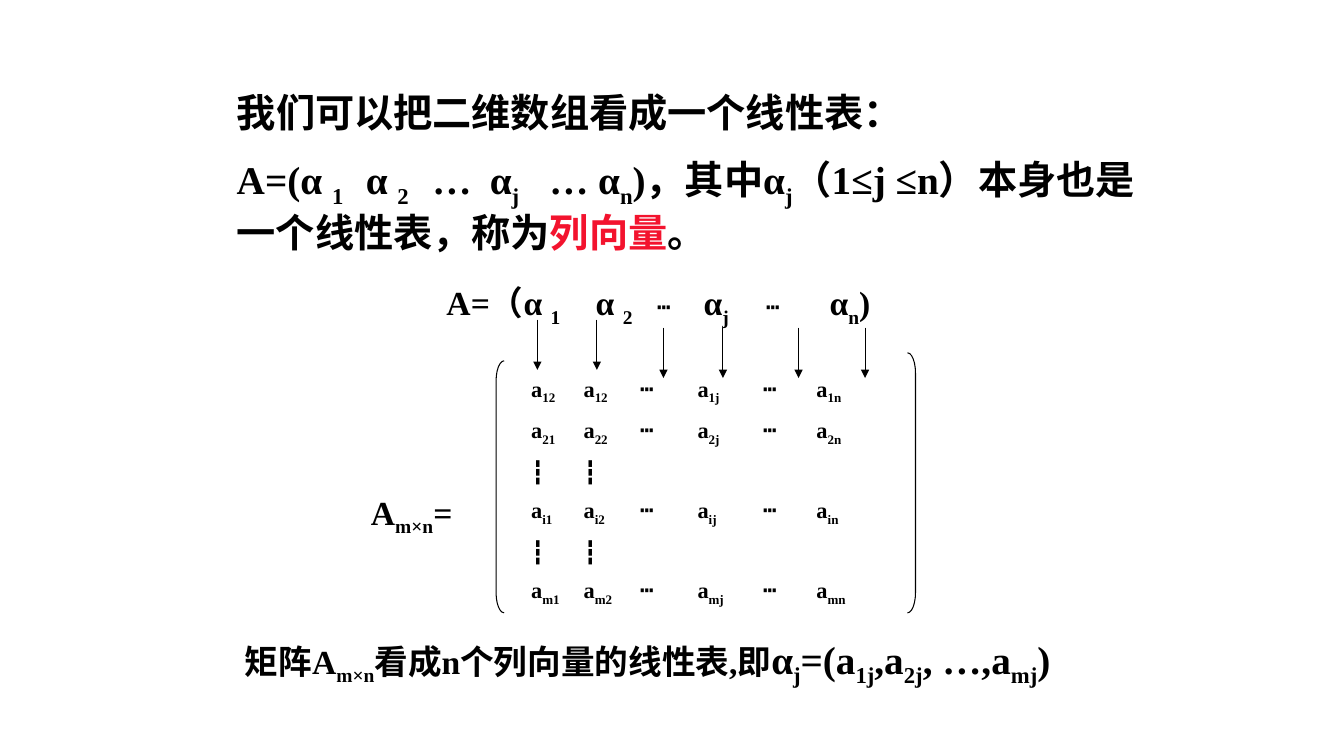
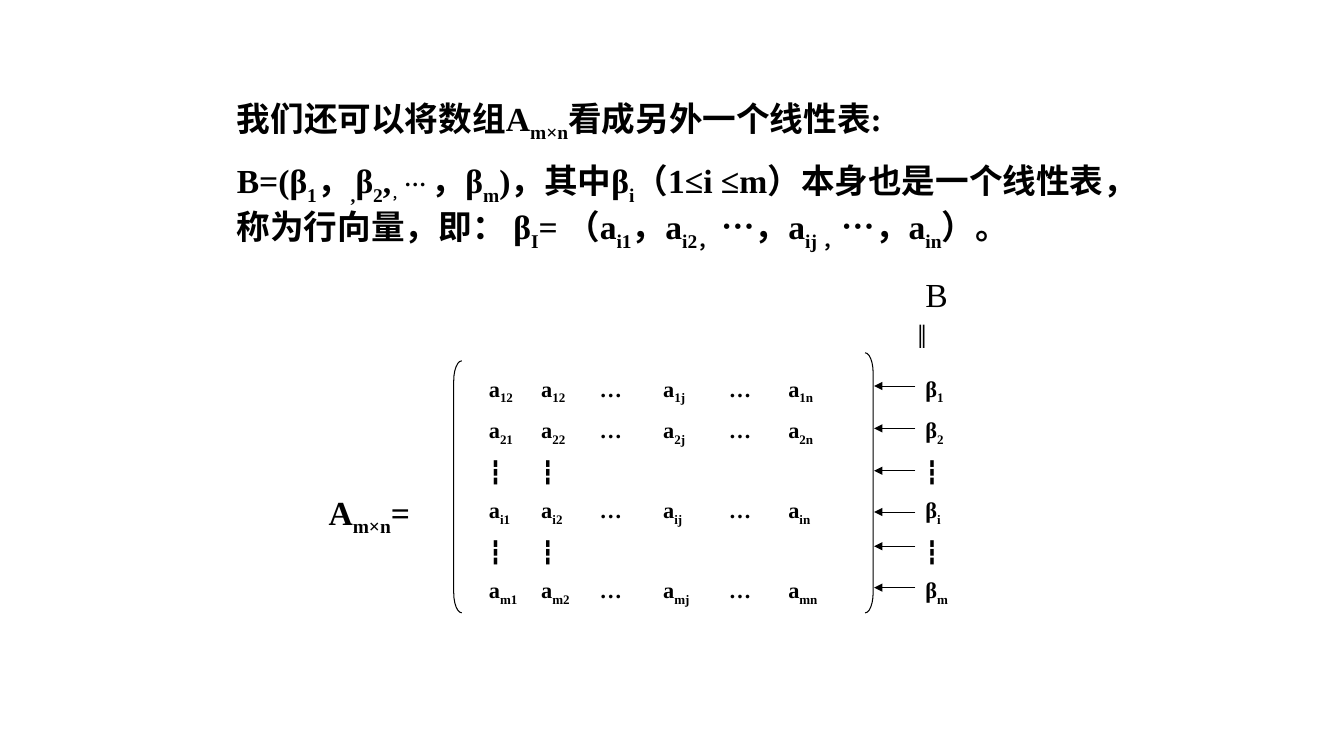
from dataclasses import dataclass

from lxml import etree
from pptx import Presentation
from pptx import util as u
from pptx.dml.color import RGBColor
from pptx.enum import shapes, text
from pptx.oxml import ns


@dataclass(frozen=True)
class Theme:
    font: str = "Times New Roman"
    ink: str = "000000"
    accent: str = "F3132E"
    large: int = 28
    normal: int = 24
    small: int = 16
    line: float = 0.75


@dataclass(frozen=True)
class Span:
    markup: str
    size: int = 0
    color: str = ""


THEME = Theme()
TITLE_ONLY = 5
MATRIX_TOP = 3.5
MATRIX_WIDTH = 4.08


def set_tabs(para, stops):
    tab_list = etree.SubElement(para._p.get_or_add_pPr(), ns.qn("a:tabLst"))
    for stop in stops:
        etree.SubElement(tab_list, ns.qn("a:tab"), pos=str(u.Inches(stop)), algn="l")


def write_spans(para, spans, size, bold=True):
    """Write spans of markup, in which [square brackets] hold subscripts."""
    for item in spans:
        span = Span(item) if isinstance(item, str) else item
        for index, piece in enumerate(span.markup.replace("]", "[").split("[")):
            if not piece:
                continue
            run = para.add_run()
            run.text = piece
            run.font.name = THEME.font
            run.font.size = u.Pt(span.size or size)
            run.font.bold = bold
            run.font.color.rgb = RGBColor.from_string(span.color or THEME.ink)
            if index % 2:
                run._r.get_or_add_rPr().set("baseline", "-25000")


def add_text(page, box, lines, size=THEME.normal, tabs=(), bold=True):
    """Add a text box; each line is a list of spans."""
    frame = page.shapes.add_textbox(*map(u.Inches, box)).text_frame
    frame.word_wrap = True
    for index, spans in enumerate(lines):
        para = frame.add_paragraph() if index else frame.paragraphs[0]
        if index:
            para.space_before = u.Pt(size / 2)
        if tabs:
            set_tabs(para, tabs)
        write_spans(para, spans, size, bold)


def add_title(page, box, markup, size):
    title = page.shapes.title
    title.left, title.top, title.width, title.height = map(u.Inches, box)
    frame = title.text_frame
    frame.word_wrap = True
    frame.auto_size = text.MSO_AUTO_SIZE.NONE
    frame.vertical_anchor = text.MSO_ANCHOR.TOP
    para = frame.paragraphs[0]
    para.alignment = text.PP_ALIGN.LEFT
    write_spans(para, [markup], size)


def style_line(line):
    line.color.rgb = RGBColor.from_string(THEME.ink)
    line.width = u.Pt(THEME.line)


def add_bracket(page, kind, left, top, height):
    box = map(u.Inches, (left, top, 0.08, height))
    bracket = page.shapes.add_shape(kind, *box)
    bracket.adjustments[0] = 2.5
    bracket.shadow.inherit = False
    bracket.fill.background()
    style_line(bracket.line)


def add_arrow(page, start, end):
    ends = map(u.Inches, (*start, *end))
    arrow = page.shapes.add_connector(shapes.MSO_CONNECTOR.STRAIGHT, *ends)
    style_line(arrow.line)
    etree.SubElement(arrow.line._get_or_add_ln(), ns.qn("a:tailEnd"), type="triangle")
    etree.SubElement(arrow._element.spPr, ns.qn("a:effectLst"))


def matrix_rows(dots):
    rows = []
    for row, first in (("1", "2"), ("2", "1"), ("", ""), ("i", "1"), ("", ""), ("m", "1")):
        if row:
            cells = [f"a[{row}{first}]", f"a[{row}2]", dots,
                     f"a[{row}j]", dots, f"a[{row}n]"]
        else:
            cells = ["┇", "┇"]
        rows.append(["\t".join(cells)])
    return rows


def add_matrix(page, left, top, dots, tabs):
    """Add the labelled matrix; left and top belong to its brackets."""
    add_bracket(page, shapes.MSO_SHAPE.LEFT_BRACKET, left, top + 0.08, 2.5)
    add_bracket(page, shapes.MSO_SHAPE.RIGHT_BRACKET, left + MATRIX_WIDTH, top, 2.58)
    add_text(page, (left - 1.34, top + 1.33, 1.25, 0.5), [["A[m×n]="]])
    add_text(page, (left + 0.25, top + 0.17, 3.83, 2.37), matrix_rows(dots),
             THEME.small, tabs)


def add_column_vectors(page, left, top):
    """Add the row of column vectors, each with an arrow down to its column."""
    dots = Span("┅", THEME.small)
    add_text(page, (left, top, 5.42, 0.5),
             [["A=（α [1]\tα [2]\t", dots, "\tα[j]\t", dots, "\tα[n])"]],
             tabs=(1.48, 2.09, 2.55, 3.17, 3.8))
    for index, offset in enumerate((1, 1.59, 2.25, 2.84, 3.59, 4.25)):
        x = left + offset
        y = top + (0.42 if index < 2 else 0.5)
        add_arrow(page, (x, y), (x, y + 0.5))


def add_row_vectors(page, left, top):
    """Add the column of row vectors, each with an arrow to its row."""
    add_text(page, (left, top, 0.58, 0.5), [["B"]], bold=False)
    add_text(page, (left - 0.08, top + 0.41, 0.5, 0.5), [["‖"]], bold=False)
    labels = ("β[1]", "β[2]", "┇", "β[i]", "┇", "β[m]")
    add_text(page, (left, top + 1, 0.58, 2.97), [[label] for label in labels], THEME.small)
    for offset in (1.16, 1.58, 2, 2.41, 2.75, 3.16):
        y = top + offset
        add_arrow(page, (left, y), (left - 0.41, y))


def build_column_slide(page):
    add_title(page, (2.25, 0.83, 9.17, 0.6), "我们可以把二维数组看成一个线性表：", THEME.large)
    add_text(page, (2.25, 1.49, 9.17, 1.1),
             [["A=(α [1]\tα [2]\t…\tα[j]\t… α[n])，其中α[j]（1≤j ≤n）本身也是一个线性表，称为",
               Span("列向量", color=THEME.accent), "。"]],
             THEME.large, (1.28, 1.94, 2.51, 3.1))
    add_column_vectors(page, 4.33, 2.75)
    add_matrix(page, 4.92, MATRIX_TOP, "┅", (0.52, 1.08, 1.65, 2.3, 2.83))
    add_text(page, (2.33, 6.25, 8.92, 0.57),
             [["矩阵A[m×n]看成n个列向量的线性表,即",
               Span("α[j]=(a[1j],a[2j], …,a[mj])", THEME.large)]])


def build_row_slide(page):
    add_title(page, (2.25, 0.92, 9.08, 0.6), "我们还可以将数组A[m×n]看成另外一个线性表:", THEME.normal)
    add_text(page, (2.25, 1.54, 9.08, 1.3),
             [["B=(β[1]，[,]β[2],", Span("[，]… ", THEME.small),
               "，β[m])，其中β[i]（1≤i ≤m）本身也是一个线性表，称为行向量，即： "
               "β[I]= （a[i1]，a[i2， ]…，a[ij ，]…，a[in]）。"]])
    add_matrix(page, 4.5, MATRIX_TOP, "…", (0.52, 1.1, 1.73, 2.38, 2.97))
    add_row_vectors(page, 9.08, 2.67)


def main():
    deck = Presentation()
    deck.slide_width = u.Inches(13.33)
    deck.slide_height = u.Inches(7.5)
    for build in (build_column_slide, build_row_slide):
        build(deck.slides.add_slide(deck.slide_layouts[TITLE_ONLY]))
    deck.save("out.pptx")


if __name__ == "__main__":
    main()
